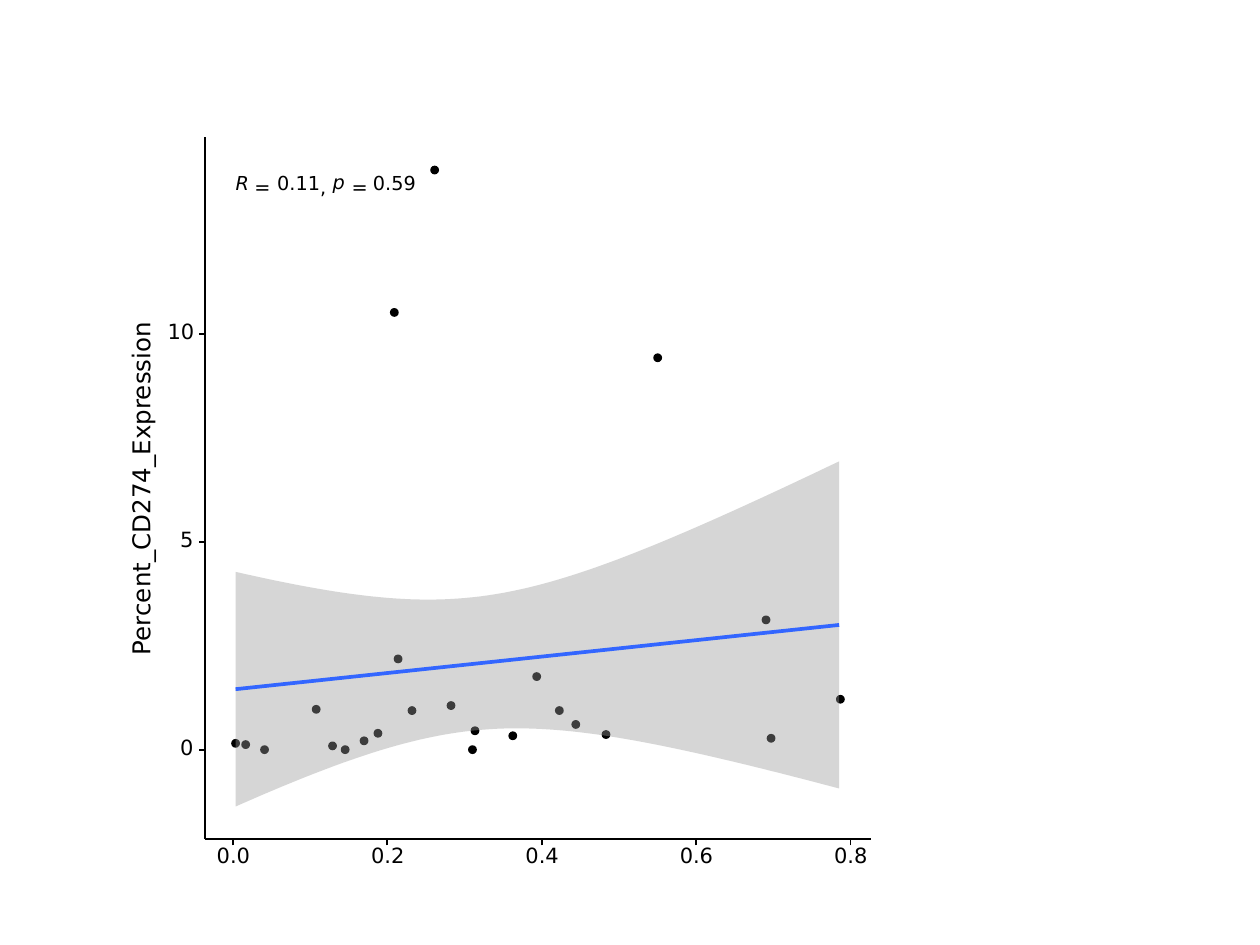
import dataclasses
import math

import lxml.etree
import pptx
import pptx.dml.color
import pptx.enum.shapes
import pptx.enum.text
import pptx.oxml.ns
import pptx.util

Inches = pptx.util.Inches
Pt = pptx.util.Pt
qn = pptx.oxml.ns.qn


@dataclasses.dataclass
class Theme:
    font: str = "DejaVu Sans"
    ink: str = "000000"
    paper: str = "FFFFFF"
    trend: str = "3366FF"
    band: str = "999999"
    alpha: int = 40
    note: int = 11
    tick: int = 12
    title: int = 14
    axis: float = 1.07
    fit: float = 2.13
    rim: float = 0.71


@dataclasses.dataclass
class Plot:
    """Draws the parts of the plot into one group on the slide."""
    theme: Theme
    slide: object

    def begin(self):
        self.group = self.slide.shapes.add_group_shape()

    def paint(self, fill, color):
        fill.solid()
        fill.fore_color.rgb = pptx.dml.color.RGBColor.from_string(color)

    def shape(self, kind, left, top, width, height, color, rim):
        shape = self.group.shapes.add_shape(
            kind, Inches(left), Inches(top), Inches(width), Inches(height))
        shape.shadow.inherit = False
        self.paint(shape.fill, color)
        self.paint(shape.line.fill, color)
        shape.line.width = Pt(rim)

    def panel(self, left, top, width, height):
        self.shape(pptx.enum.shapes.MSO_SHAPE.RECTANGLE,
                   left, top, width, height, self.theme.paper, 0.75)

    def dot(self, left, top, size=0.06):
        self.shape(pptx.enum.shapes.MSO_SHAPE.OVAL,
                   left, top, size, size, self.theme.ink, self.theme.rim)

    def line(self, start, end, color, width):
        line = self.group.shapes.add_connector(
            pptx.enum.shapes.MSO_CONNECTOR.STRAIGHT,
            *(Inches(n) for n in (*start, *end)))
        self.paint(line.line.fill, color)
        line.line.width = Pt(width)
        lxml.etree.SubElement(line._element.spPr, qn("a:effectLst"))

    def rule(self, start, end):
        self.line(start, end, self.theme.ink, self.theme.axis)

    def band(self, points):
        points = [(Inches(x), Inches(y)) for x, y in points]
        outline = self.group.shapes.build_freeform(*points[0])
        outline.add_line_segments(points[1:], close=True)
        shape = outline.convert_to_shape()
        shape.shadow.inherit = False
        shape.line.fill.background()
        self.paint(shape.fill, self.theme.band)
        color = shape._element.spPr.find(qn("a:solidFill"))[0]
        alpha = lxml.etree.SubElement(color, qn("a:alpha"))
        alpha.set("val", str(self.theme.alpha * 1000))

    def text(self, words, left, top, width, height, size,
             italic=False, turn=0):
        box = self.group.shapes.add_textbox(
            Inches(left), Inches(top), Inches(width), Inches(height))
        box.rotation = turn
        frame = box.text_frame
        frame.margin_left = frame.margin_right = 0
        frame.margin_top = frame.margin_bottom = 0
        frame.word_wrap = False
        frame.vertical_anchor = pptx.enum.text.MSO_ANCHOR.MIDDLE
        frame.text = words
        par = frame.paragraphs[0]
        par.line_spacing = Pt(size)
        font = par.runs[0].font
        font.name, font.size, font.italic = self.theme.font, Pt(size), italic
        self.paint(font.fill, self.theme.ink)


# Left and top of each dot, in inches
DOTS = [
    (3.74, 5.77), (2.07, 5.92), (2.97, 5.79), (3.42, 1.32), (2.48, 5.6),
    (2.61, 5.89), (2.86, 5.85), (3.72, 5.92), (3.55, 5.57), (2.71, 5.92),
    (3.24, 5.61), (3.13, 5.2), (4.04, 5.81), (4.78, 5.8), (5.19, 2.81),
    (6.05, 4.89), (4.54, 5.72), (3.1, 2.45), (4.41, 5.61), (4.23, 5.34),
    (6.09, 5.83), (1.84, 5.87), (1.92, 5.88), (6.64, 5.52),
]
# Word, left, top, width, height, italic
NOTE = [
    ("R", 1.87, 1.41, 0.11, 0.11, True),
    ("=", 2.02, 1.48, 0.14, 0.04, False),
    ("0.11", 2.2, 1.41, 0.36, 0.12, False),
    (",", 2.54, 1.48, 0.05, 0.04, False),
    ("p", 2.64, 1.4, 0.1, 0.12, True),
    ("=", 2.79, 1.48, 0.14, 0.04, False),
    ("0.59", 2.96, 1.41, 0.36, 0.12, False),
]
START, END = (1.87, 5.47), (6.66, 4.96)
AXIS_X, AXIS_Y, TICK = 1.63, 6.66, 0.05
STEPS = 79


def ribbon():
    """Outline of the confidence band: widest far from the mean x."""
    upper, lower = [], []
    for i in range(STEPS + 1):
        x, y = (a + (b - a) * i / STEPS for a, b in zip(START, END))
        half = math.sqrt(0.28 + 0.166 * (x - 3.75) ** 2)
        upper.append((x, y - half))
        lower.append((x, y + half))
    return upper + lower[::-1]


def main():
    deck = pptx.Presentation()
    deck.slide_width, deck.slide_height = Inches(10), Inches(7.5)
    theme = Theme()
    plot = Plot(theme, deck.slides.add_slide(deck.slide_layouts[6]))
    plot.begin()

    plot.panel(1, 1, 6, 6)
    for spot in DOTS:
        plot.dot(*spot)
    plot.band(ribbon())
    plot.line(START, END, theme.trend, theme.fit)
    for word, left, top, width, height, italic in NOTE:
        plot.text(word, left, top, width, height, theme.note, italic)

    plot.rule((AXIS_X, AXIS_Y), (AXIS_X, 1.09))
    for i, (label, left) in enumerate([("0", 1.43), ("5", 1.43), ("10", 1.33)]):
        y = 5.95 - 1.65 * i
        plot.text(label, left, y - 0.07, 1.56 - left, 0.13, theme.tick)
        plot.rule((AXIS_X - TICK, y), (AXIS_X, y))

    plot.rule((AXIS_X, AXIS_Y), (6.91, AXIS_Y))
    for i in range(5):
        x = 1.85 + 1.225 * i
        plot.rule((x, AXIS_Y + TICK), (x, AXIS_Y))
        plot.text(f"{i * 0.2:.1f}", x - 0.13, 6.74, 0.28, 0.13, theme.tick)

    plot.text("Percent_CD274_Expression", -0.19, 3.78, 2.65, 0.19,
              theme.title, turn=270)
    deck.save("out.pptx")


if __name__ == "__main__":
    main()
